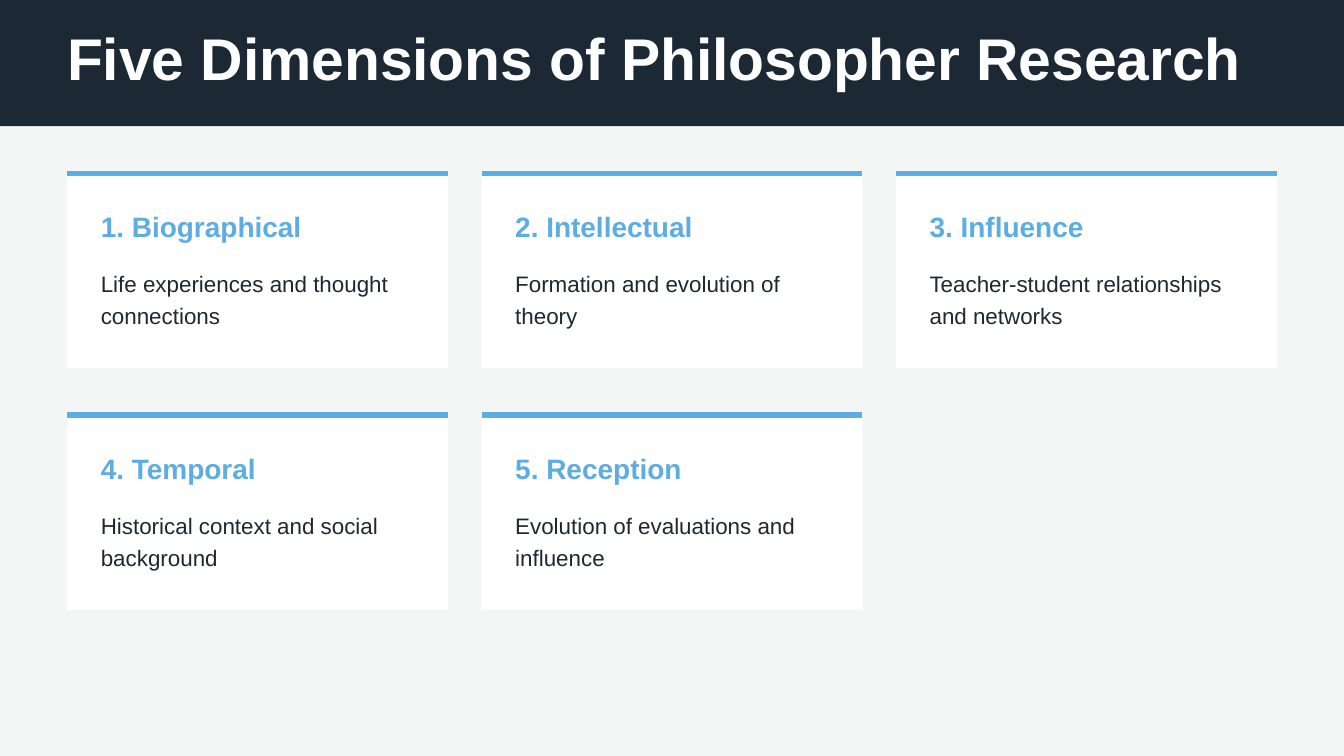
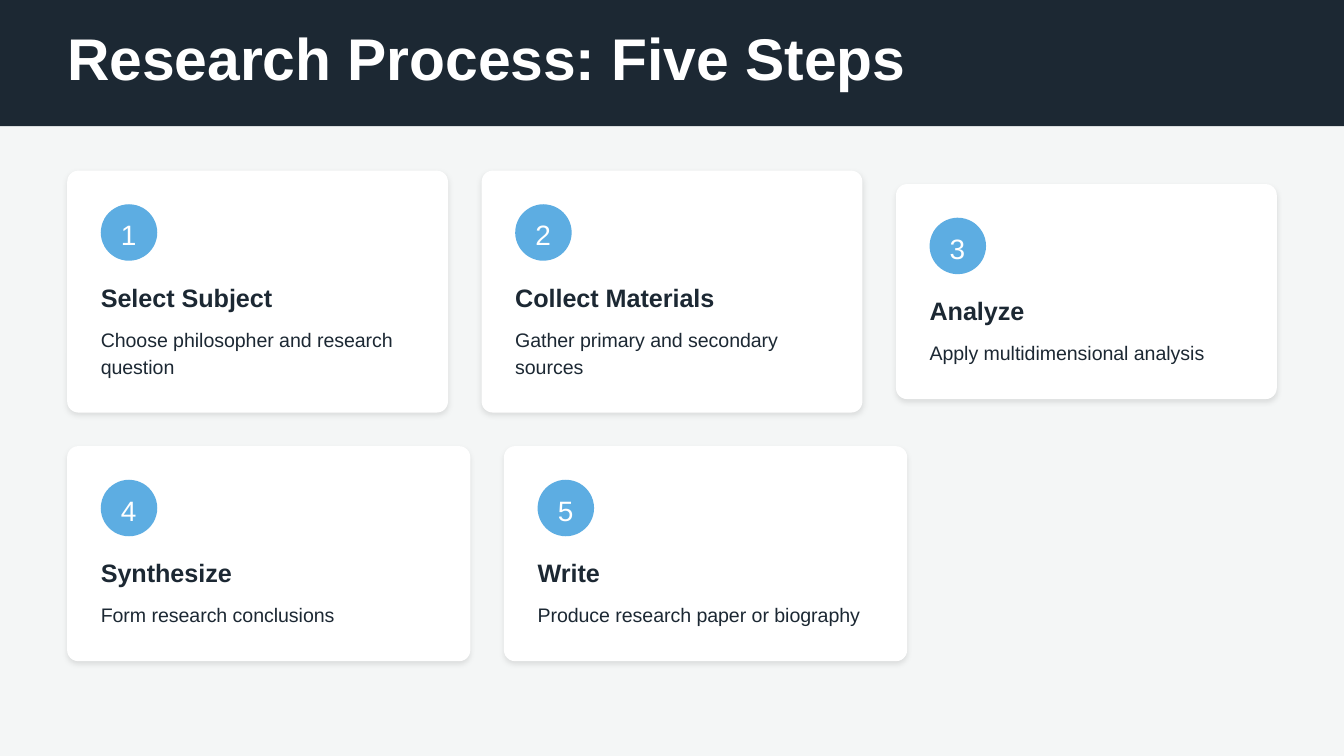
"""Build two slides: the dimensions of philosopher research and its process."""
from dataclasses import dataclass, field
from typing import Any

from lxml.etree import SubElement
from pptx import Presentation
from pptx.dml.color import RGBColor
from pptx.enum.shapes import MSO_CONNECTOR as Connector, MSO_SHAPE as Preset
from pptx.oxml.ns import qn
from pptx.shapes.autoshape import Shape
from pptx.slide import Slide
from pptx.util import Inches, Pt


@dataclass(frozen=True)
class TextStyle:
    size: float
    color: str
    spacing: float
    bold: bool = False
    before: float = 0
    after: float = 0


@dataclass(frozen=True)
class Theme:
    font: str = "Arial"
    background: str = "F4F6F6"
    dark: str = "1C2833"
    accent: str = "5DADE2"
    white: str = "FFFFFF"
    title: TextStyle = TextStyle(31.5, "FFFFFF", 31.5, bold=True)
    dimension_heading: TextStyle = TextStyle(15, "5DADE2", 18, bold=True, after=12)
    dimension_body: TextStyle = TextStyle(12, "1C2833", 16.8, before=3, after=3)
    step_number: TextStyle = TextStyle(15, "FFFFFF", 21)
    step_heading: TextStyle = TextStyle(13.5, "1C2833", 16.2, bold=True, after=6)
    step_body: TextStyle = TextStyle(10.5, "1C2833", 14.7)


@dataclass(frozen=True)
class Box:
    left: float
    top: float
    width: float
    height: float

    def lengths(self) -> list[int]:
        return [Inches(v) for v in (self.left, self.top, self.width, self.height)]


@dataclass(frozen=True)
class Card:
    heading: str
    body: str
    body_lines: int = 2


@dataclass(frozen=True)
class StepRow:
    center: float
    card_width: float
    cards: list[Card] = field(default_factory=list)


THEME = Theme()
SLIDE_WIDTH, SLIDE_HEIGHT = 10, 5.625
MARGIN = 0.5
GAP = 0.25
PADDING = 0.25
COLUMNS = 3
CARD_WIDTH = (SLIDE_WIDTH - 2 * MARGIN - (COLUMNS - 1) * GAP) / COLUMNS
CARDS_TOP = 1.27
DIMENSION_HEIGHT = 1.47
DIMENSION_PITCH = 1.8
RULE_WIDTH = 3
STEP_HEIGHTS = {1: 1.6, 2: 1.8}
CORNER_RADIUS = 0.083
BADGE_SIZE = 0.42

DIMENSIONS = [
    Card("Biographical", "Life experiences and thought connections"),
    Card("Intellectual", "Formation and evolution of theory"),
    Card("Influence", "Teacher-student relationships and networks"),
    Card("Temporal", "Historical context and social background"),
    Card("Reception", "Evolution of evaluations and influence"),
]
STEP_ROWS = [
    StepRow(2.17, CARD_WIDTH, [
        Card("Select Subject", "Choose philosopher and research question"),
        Card("Collect Materials", "Gather primary and secondary sources"),
        Card("Analyze", "Apply multidimensional analysis", body_lines=1),
    ]),
    StepRow(4.12, 3, [
        Card("Synthesize", "Form research conclusions", body_lines=1),
        Card("Write", "Produce research paper or biography", body_lines=1),
    ]),
]


def set_attributes(target: Any, values: dict[str, Any]) -> None:
    for name, value in values.items():
        setattr(target, name, value)


def add_panel(slide: Slide, box: Box, color: str, radius: float = 0) -> Shape:
    preset = Preset.ROUNDED_RECTANGLE if radius else Preset.RECTANGLE
    shape = slide.shapes.add_shape(preset, *box.lengths())
    if radius:
        shape.adjustments[0] = radius / box.height
    shape.shadow.inherit = False
    shape.fill.solid()
    shape.fill.fore_color.rgb = RGBColor.from_string(color)
    shape.line.fill.background()
    return shape


def add_soft_shadow(shape: Shape) -> None:
    effects = shape._element.spPr.find(qn("a:effectLst"))
    shadow = SubElement(effects, qn("a:outerShdw"), {
        "blurRad": str(Pt(3)), "dist": str(Pt(1.5)), "dir": "5400000",
        "algn": "bl", "rotWithShape": "0",
    })
    color = SubElement(shadow, qn("a:srgbClr"), {"val": "000000"})
    SubElement(color, qn("a:alpha"), {"val": "10000"})


def add_rule(slide: Slide, left: float, top: float, width: float) -> None:
    ends = [Inches(v) for v in (left, top, left + width, top)]
    rule = slide.shapes.add_connector(Connector.STRAIGHT, *ends)
    rule.line.color.rgb = RGBColor.from_string(THEME.accent)
    rule.line.width = Pt(RULE_WIDTH)
    SubElement(rule._element.spPr, qn("a:effectLst"))


def add_text(slide: Slide, box: Box, text: str, style: TextStyle) -> None:
    frame = slide.shapes.add_textbox(*box.lengths()).text_frame
    set_attributes(frame, {
        "word_wrap": True, "margin_left": 0, "margin_top": 0,
        "margin_right": 0, "margin_bottom": 0,
    })
    paragraph = frame.paragraphs[0]
    set_attributes(paragraph, {
        "line_spacing": Pt(style.spacing),
        "space_before": Pt(style.before), "space_after": Pt(style.after),
    })
    run = paragraph.add_run()
    run.text = text
    set_attributes(run.font, {
        "name": THEME.font, "size": Pt(style.size), "bold": style.bold,
    })
    run.font.color.rgb = RGBColor.from_string(style.color)


def add_titled_slide(presentation: Any, title: str, title_width: float) -> Slide:
    slide = presentation.slides.add_slide(presentation.slide_layouts[6])
    slide.background.fill.solid()
    slide.background.fill.fore_color.rgb = RGBColor.from_string(THEME.background)
    add_panel(slide, Box(0, 0, SLIDE_WIDTH, 0.94), THEME.dark)
    add_text(slide, Box(MARGIN, 0.25, title_width, 0.44), title, THEME.title)
    return slide


def add_dimension(slide: Slide, index: int, card: Card) -> None:
    row, column = divmod(index, COLUMNS)
    left = MARGIN + column * (CARD_WIDTH + GAP)
    top = CARDS_TOP + row * DIMENSION_PITCH
    text_left, text_width = left + PADDING, 2.38
    add_panel(slide, Box(left, top, CARD_WIDTH, DIMENSION_HEIGHT), THEME.white)
    add_rule(slide, left, top + 0.02, CARD_WIDTH)
    add_text(slide, Box(text_left, top + 0.29, text_width, 0.25),
             f"{index + 1}. {card.heading}", THEME.dimension_heading)
    add_text(slide, Box(text_left, top + 0.71, text_width, 0.47),
             card.body, THEME.dimension_body)


def add_step(slide: Slide, box: Box, number: int, card: Card) -> None:
    left, top = box.left + PADDING, box.top + PADDING
    text_width = box.width * 0.85 if box.width == 3 else 2.38
    add_soft_shadow(add_panel(slide, box, THEME.white, CORNER_RADIUS))
    add_panel(slide, Box(left, top, BADGE_SIZE, BADGE_SIZE),
              THEME.accent, BADGE_SIZE / 2)
    add_text(slide, Box(left + 0.15, top + 0.06, 0.12, 0.29),
             str(number), THEME.step_number)
    add_text(slide, Box(left, top + 0.58, text_width, 0.22),
             card.heading, THEME.step_heading)
    add_text(slide, Box(left, top + 0.89, text_width, 0.2 * card.body_lines),
             card.body, THEME.step_body)


def build_dimensions(presentation: Any) -> None:
    slide = add_titled_slide(
        presentation, "Five Dimensions of Philosopher Research", 8.94)
    for index, card in enumerate(DIMENSIONS):
        add_dimension(slide, index, card)


def build_process(presentation: Any) -> None:
    slide = add_titled_slide(presentation, "Research Process: Five Steps", 6.38)
    number = 0
    for row in STEP_ROWS:
        for column, card in enumerate(row.cards):
            number += 1
            height = STEP_HEIGHTS[card.body_lines]
            left = MARGIN + column * (row.card_width + GAP)
            box = Box(left, row.center - height / 2, row.card_width, height)
            add_step(slide, box, number, card)


def main() -> None:
    presentation = Presentation()
    set_attributes(presentation, {
        "slide_width": Inches(SLIDE_WIDTH), "slide_height": Inches(SLIDE_HEIGHT),
    })
    build_dimensions(presentation)
    build_process(presentation)
    presentation.save("out.pptx")


if __name__ == "__main__":
    main()
